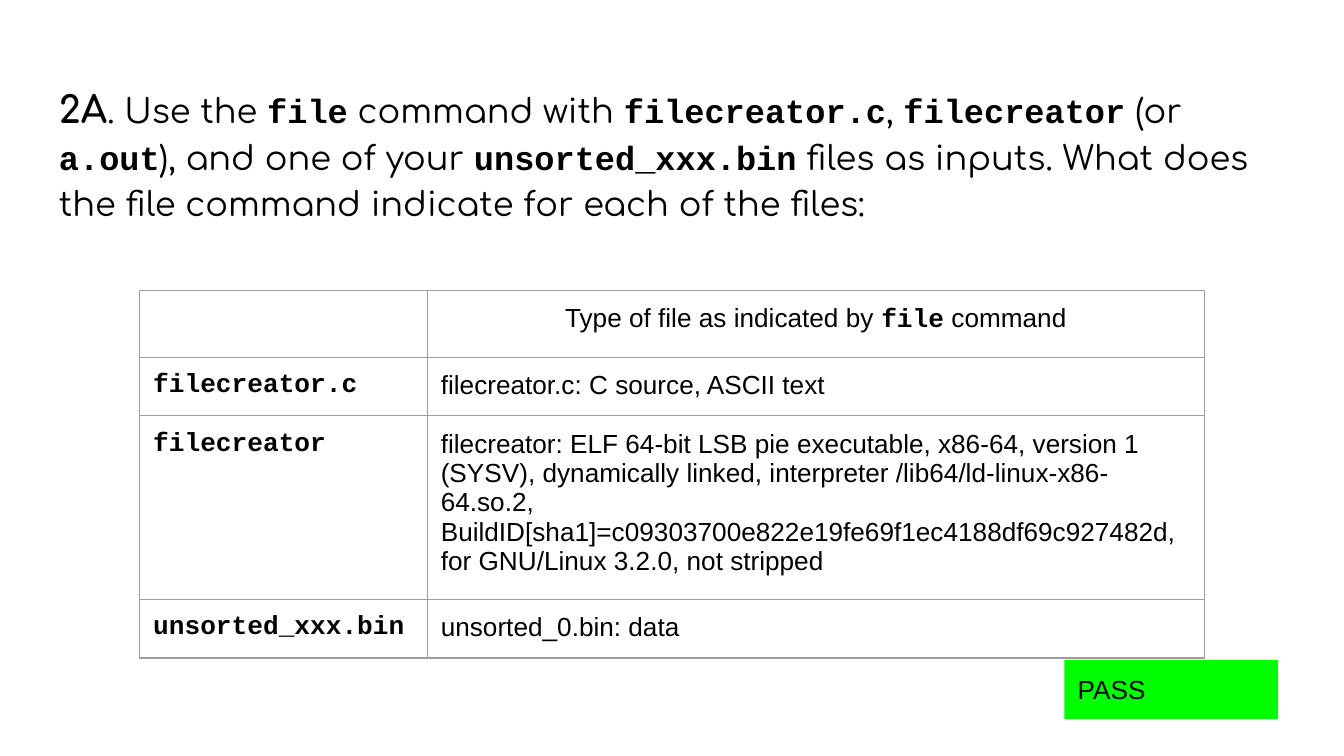
from dataclasses import dataclass

import lxml.etree
import pptx
import pptx.dml.color
import pptx.enum.shapes
import pptx.enum.text
import pptx.oxml.ns
import pptx.util

Inches = pptx.util.Inches
Align = pptx.enum.text.PP_ALIGN

BLACK = pptx.dml.color.RGBColor(0x00, 0x00, 0x00)
GREEN = pptx.dml.color.RGBColor(0x00, 0xFF, 0x00)
BORDER_GRAY = pptx.dml.color.RGBColor(0x9E, 0x9E, 0x9E)

SLIDE_WIDTH = 10
TITLE_FONT = "Comfortaa"
BODY_FONT = "Arial"
CODE_FONT = "Courier New"
MARGIN = Inches(0.1)


@dataclass(frozen=True)
class TableRow:
    """One table row: a file name in code type and its description.

    Parts of the description at odd positions are in code type.
    The height is a minimum; rows grow with their text.
    """

    name: str
    description: tuple[str, ...]
    height: float = 0.42
    alignment: Align = Align.LEFT


QUESTION = (
    ". Use the ", "file", " command with ", "filecreator.c", ", ", "filecreator",
    " (or ", "a.out", "), and one of your ", "unsorted_xxx.bin",
    " files as inputs. What does the file command indicate for each of the files:",
)
ROWS = (
    TableRow("", ("Type of file as indicated by ", "file", " command"), 0.25, Align.CENTER),
    TableRow("filecreator.c", ("filecreator.c: C source, ASCII text",)),
    TableRow(
        "filecreator",
        (
            "filecreator: ELF 64-bit LSB pie executable, x86-64, version 1 (SYSV), "
            "dynamically linked, interpreter /lib64/ld-linux-x86-64.so.2, "
            "BuildID[sha1]=c09303700e822e19fe69f1ec4188df69c927482d, "
            "for GNU/Linux 3.2.0, not stripped",
        ),
    ),
    TableRow("unsorted_xxx.bin", ("unsorted_0.bin: data",)),
)
COLUMN_WIDTHS = (2.14, 5.78)


def add_text(paragraph, text: str, *, font: str = BODY_FONT, size: int = 14,
             bold: bool = False) -> None:
    """Append a formatted run to a paragraph."""
    run = paragraph.add_run()
    run.text = text
    run.font.name = font
    run.font.size = pptx.util.Pt(size)
    run.font.bold = bold
    run.font.color.rgb = BLACK


def add_mixed_text(paragraph, parts: tuple[str, ...], *, font: str = BODY_FONT,
                   size: int = 14) -> None:
    """Append parts that alternate between the given font and bold code."""
    for index, part in enumerate(parts):
        is_code = index % 2 == 1
        add_text(paragraph, part, font=CODE_FONT if is_code else font,
                 size=size, bold=is_code)


def set_margins(container) -> None:
    """Give a cell or text frame the same margin on all sides."""
    container.margin_left = container.margin_right = MARGIN
    container.margin_top = container.margin_bottom = MARGIN


def format_cell(cell) -> None:
    """Give a cell its borders, margins and an empty fill."""
    set_margins(cell)
    properties = cell._tc.get_or_add_tcPr()
    qualified = pptx.oxml.ns.qn
    for side in ("lnL", "lnR", "lnT", "lnB"):
        line = lxml.etree.SubElement(properties, qualified(f"a:{side}"),
                                     w=str(pptx.util.Pt(0.75)))
        fill = lxml.etree.SubElement(line, qualified("a:solidFill"))
        lxml.etree.SubElement(fill, qualified("a:srgbClr"), val=str(BORDER_GRAY))
    cell.fill.background()


def add_question(slide) -> None:
    """Add the question at the top of the slide."""
    box = slide.shapes.add_textbox(Inches(0.34), Inches(0.49), Inches(9.32), Inches(4.8))
    frame = box.text_frame
    frame.word_wrap = True
    set_margins(frame)
    paragraph = frame.paragraphs[0]
    paragraph.line_spacing = 1.15
    add_text(paragraph, "2A", font=TITLE_FONT, size=20, bold=True)
    add_mixed_text(paragraph, QUESTION, font=TITLE_FONT, size=18)


def add_file_table(slide) -> None:
    """Add the table of file types."""
    table = slide.shapes.add_table(
        len(ROWS), len(COLUMN_WIDTHS), Inches(1.04), Inches(2.16),
        Inches(sum(COLUMN_WIDTHS)), Inches(sum(row.height for row in ROWS)),
    ).table
    table.first_row = False
    table.horz_banding = False
    for column, width in zip(table.columns, COLUMN_WIDTHS):
        column.width = Inches(width)
    for index, row in enumerate(ROWS):
        table.rows[index].height = Inches(row.height)
        name_cell, description_cell = table.rows[index].cells
        format_cell(name_cell)
        format_cell(description_cell)
        if row.name:
            add_text(name_cell.text_frame.paragraphs[0], row.name, font=CODE_FONT, bold=True)
        paragraph = description_cell.text_frame.paragraphs[0]
        paragraph.alignment = row.alignment
        add_mixed_text(paragraph, row.description)


def add_result(slide) -> None:
    """Add the green result label."""
    shape = slide.shapes.add_shape(
        pptx.enum.shapes.MSO_SHAPE.RECTANGLE,
        Inches(7.92), Inches(4.91), Inches(1.59), Inches(0.44),
    )
    shape.shadow.inherit = False
    shape.fill.solid()
    shape.fill.fore_color.rgb = GREEN
    shape.line.fill.background()
    frame = shape.text_frame
    frame.word_wrap = True
    frame.vertical_anchor = pptx.enum.text.MSO_ANCHOR.TOP
    set_margins(frame)
    frame.paragraphs[0].alignment = Align.LEFT
    add_text(frame.paragraphs[0], "PASS")


def main() -> None:
    """Build and save the presentation."""
    presentation = pptx.Presentation()
    presentation.slide_width = Inches(SLIDE_WIDTH)
    presentation.slide_height = Inches(SLIDE_WIDTH * 9 / 16)
    slide = presentation.slides.add_slide(presentation.slide_layouts[6])
    add_question(slide)
    add_file_table(slide)
    add_result(slide)
    presentation.save("out.pptx")


main()
